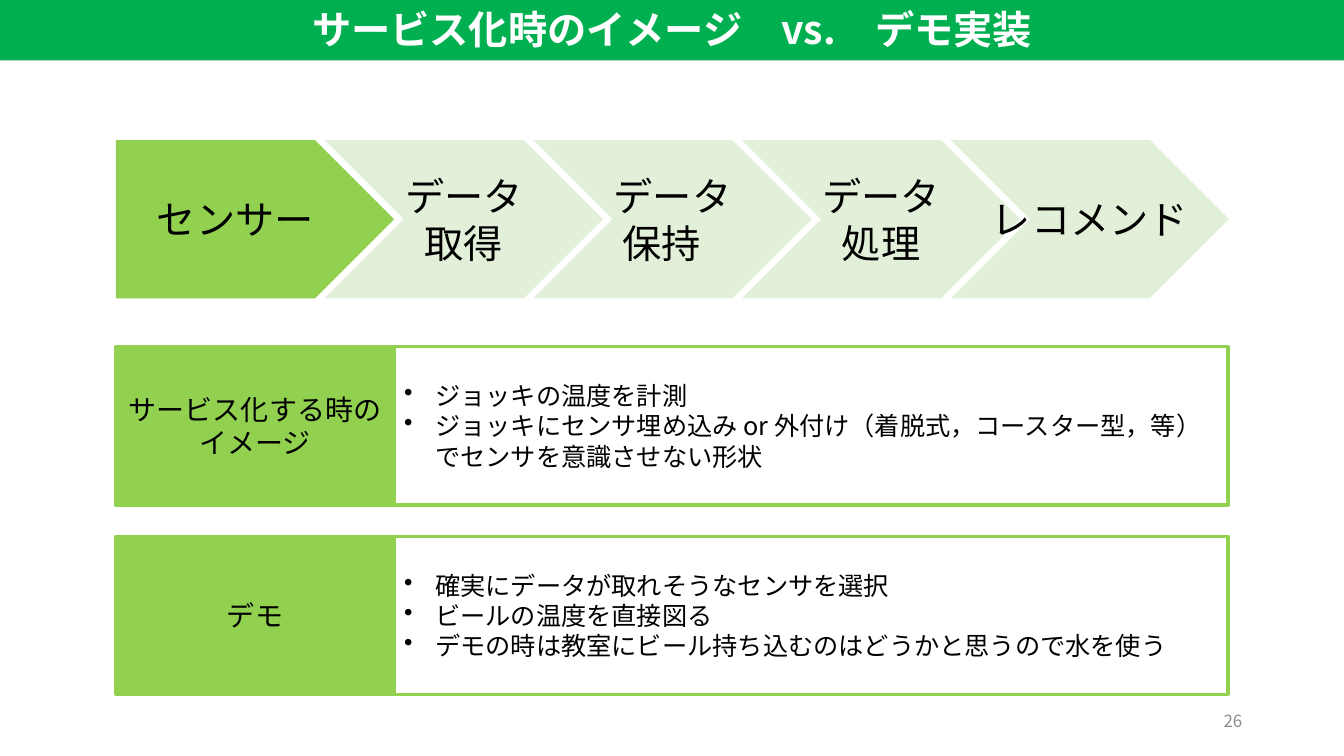
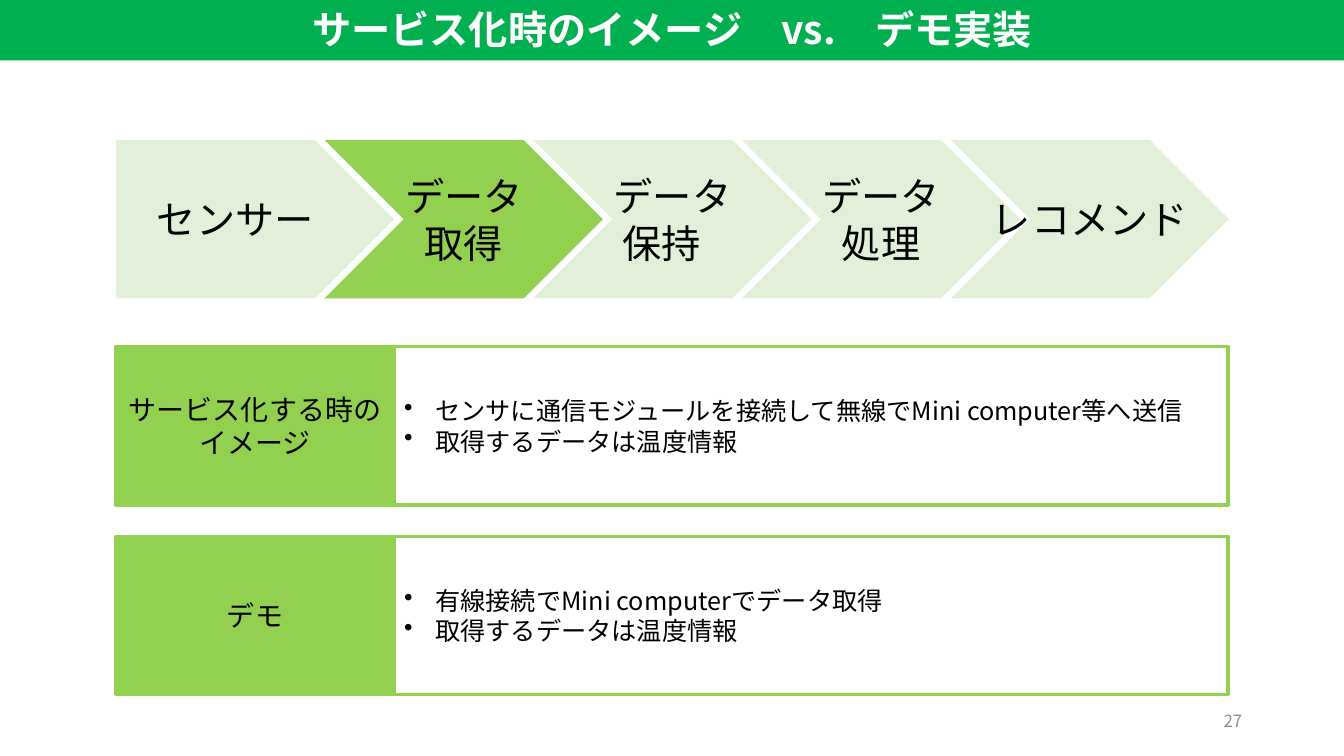
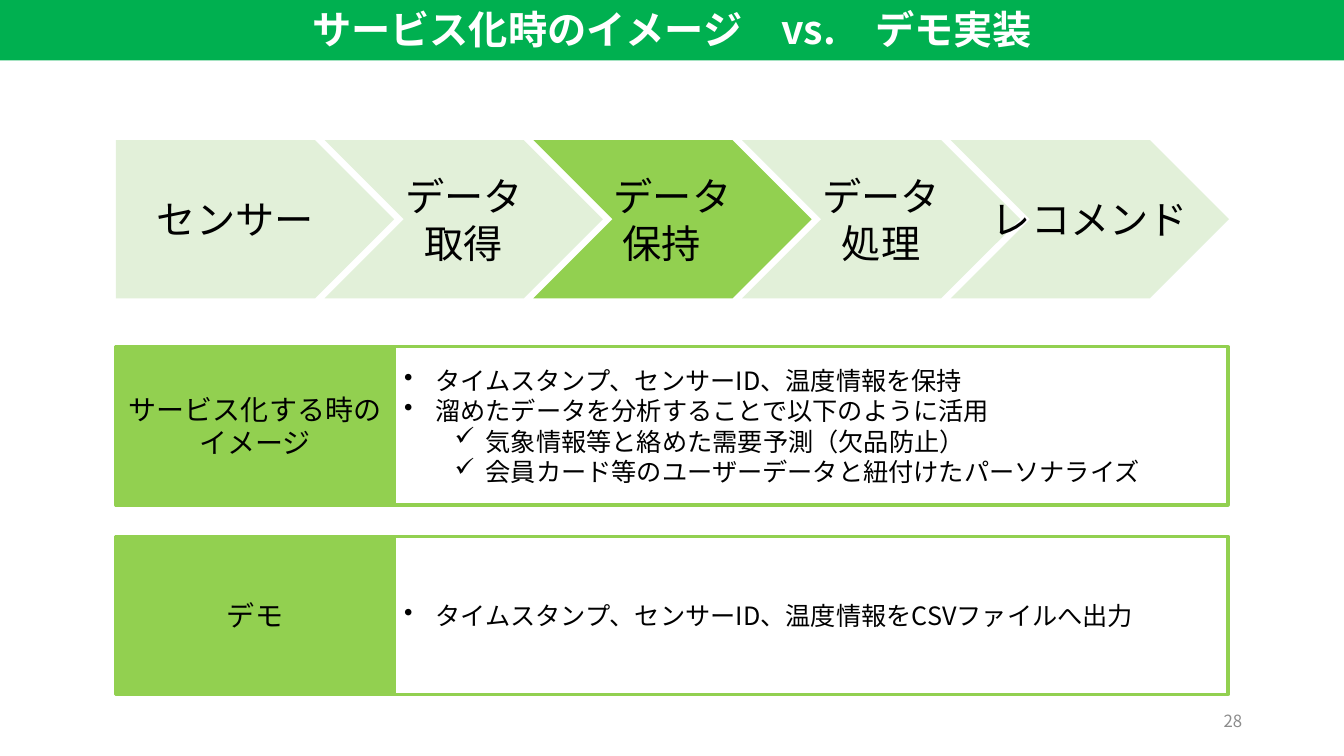
from lxml import etree
from pptx import Presentation
from pptx.dml.color import RGBColor
from pptx.enum.lang import MSO_LANGUAGE_ID
from pptx.enum.shapes import MSO_SHAPE
from pptx.enum.text import MSO_ANCHOR, PP_ALIGN
from pptx.oxml.ns import qn
from pptx.util import Inches, Pt

# Shared style
FONT = "Noto Sans CJK JP"
BAND, ACTIVE, PALE = "00B050", "92D050", "E2F0D9"
BLACK, WHITE, GREY = "000000", "FFFFFF", "8C8C8C"
TITLE_STYLE = {"size": Pt(28), "bold": True}
STEP_STYLE = {"size": Pt(28)}
LABEL_STYLE = {"size": Pt(20)}
BODY_STYLE = {"size": Pt(18)}
NUMBER_STYLE = {"size": Pt(12)}

# Shared grid
LEFT, CELL_WIDTH, CELL_HEIGHT = 1.15, 2.76, 1.57
STEP_TOP, STEP_PITCH = 1.39, 2.07
ROW_TOP, ROW_PITCH = 3.44, 1.88
BODY_WIDTH = 8.27
HANGING = 0.31
BULLETS = ["•", "✓"]

# Shared wording
TITLE = "サービス化時のイメージ　vs.　デモ実装"
STEPS = [["センサー"], ["データ", "取得"], ["データ", "保持\t"],
         ["データ", "処理"], ["レコメンド"]]
ROW_LABELS = [["サービス化する時の", "イメージ"], ["デモ"]]

# One entry per page: a list of (level, text) for each row
FIRST_NUMBER = 26
PAGES = [
    [[(0, "ジョッキの温度を計測"),
      (0, "ジョッキにセンサ埋め込み or 外付け（着脱式，コースター型，等）"
          "でセンサを意識させない形状")],
     [(0, "確実にデータが取れそうなセンサを選択"),
      (0, "ビールの温度を直接図る"),
      (0, "デモの時は教室にビール持ち込むのはどうかと思うので水を使う")]],
    [[(0, "センサに通信モジュールを接続して無線でMini computer等へ送信"),
      (0, "取得するデータは温度情報")],
     [(0, "有線接続でMini computerでデータ取得"),
      (0, "取得するデータは温度情報")]],
    [[(0, "タイムスタンプ、センサーID、温度情報を保持"),
      (0, "溜めたデータを分析することで以下のように活用"),
      (1, "気象情報等と絡めた需要予測（欠品防止）"),
      (1, "会員カード等のユーザーデータと紐付けたパーソナライズ")],
     [(0, "タイムスタンプ、センサーID、温度情報をCSVファイルへ出力")]],
]


def color(value):
    return RGBColor.from_string(value)


def add_bullet(para, level):
    """Give a paragraph a hanging bullet of its level."""
    para.level = level
    properties = para._p.get_or_add_pPr()
    properties.set("marL", str(Inches(HANGING + 0.5 * level)))
    properties.set("indent", str(-Inches(HANGING)))
    etree.SubElement(properties, qn("a:buChar")).set("char", BULLETS[level])


def write(box, lines, style, ink=BLACK, align=PP_ALIGN.CENTER, wrap=True):
    """Fill a box; a line is a text, or a (level, text) pair for a bullet."""
    frame = box.text_frame
    frame.word_wrap = wrap
    frame.vertical_anchor = MSO_ANCHOR.MIDDLE
    for index, line in enumerate(lines):
        para = frame.add_paragraph() if index else frame.paragraphs[0]
        para.alignment = align
        text = line
        if isinstance(line, tuple):
            level, text = line
            add_bullet(para, level)
        span = para.add_run()
        span.text = text
        span.font.color.rgb = color(ink)
        formats = {"name": FONT, "language_id": MSO_LANGUAGE_ID.JAPANESE, **style}
        for name, value in formats.items():
            setattr(span.font, name, value)
        east_asian = etree.SubElement(span._r.get_or_add_rPr(), qn("a:ea"))
        east_asian.set("typeface", FONT)


def add_block(page, kind, left, top, width, height, fill=None, line=None):
    box = page.shapes.add_shape(kind, Inches(left), Inches(top),
                                Inches(width), Inches(height))
    box.shadow.inherit = False
    if fill:
        box.fill.solid()
        box.fill.fore_color.rgb = color(fill)
    else:
        box.fill.background()
    if line:
        box.line.color.rgb = color(line)
        box.line.width = Pt(2.25)
    else:
        box.line.fill.background()
    return box


def add_number(page, number):
    box = page.shapes.add_textbox(Inches(9.42), Inches(6.95), Inches(3), Inches(0.4))
    write(box, [str(number)], NUMBER_STYLE, GREY, PP_ALIGN.RIGHT)


def add_steps(page, active):
    for index, lines in enumerate(STEPS):
        kind = MSO_SHAPE.CHEVRON if index else MSO_SHAPE.PENTAGON
        box = add_block(page, kind, LEFT + index * STEP_PITCH, STEP_TOP,
                        CELL_WIDTH, CELL_HEIGHT, ACTIVE if index == active else PALE)
        write(box, lines, STEP_STYLE, wrap=index == 0)


def add_rows(page, rows):
    for index, (label, items) in enumerate(zip(ROW_LABELS, rows)):
        top = ROW_TOP + index * ROW_PITCH
        box = add_block(page, MSO_SHAPE.RECTANGLE, LEFT, top,
                        CELL_WIDTH, CELL_HEIGHT, ACTIVE, ACTIVE)
        write(box, label, LABEL_STYLE)
        box = add_block(page, MSO_SHAPE.RECTANGLE, LEFT + CELL_WIDTH, top,
                        BODY_WIDTH, CELL_HEIGHT, line=ACTIVE)
        write(box, items, BODY_STYLE, align=PP_ALIGN.LEFT)


def add_title(page):
    box = add_block(page, MSO_SHAPE.RECTANGLE, -0.03, -0.03, 13.39, 0.63, BAND)
    write(box, [TITLE], TITLE_STYLE, WHITE)


def main():
    deck = Presentation()
    deck.slide_width, deck.slide_height = Inches(13.33), Inches(7.5)
    for index, rows in enumerate(PAGES):
        page = deck.slides.add_slide(deck.slide_layouts[6])
        add_number(page, FIRST_NUMBER + index)
        add_steps(page, index)
        add_rows(page, rows)
        add_title(page)
    deck.save("out.pptx")


if __name__ == "__main__":
    main()
